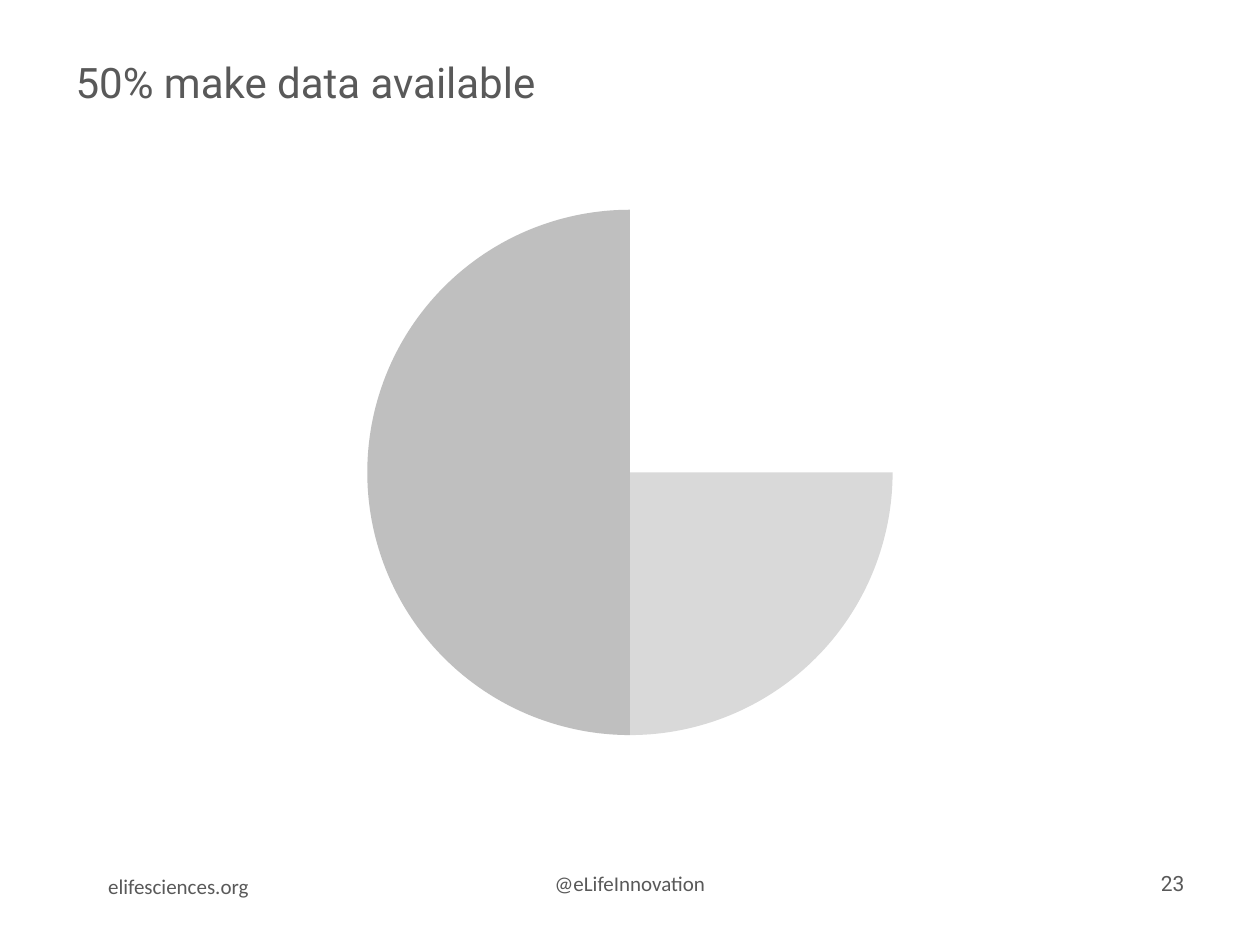
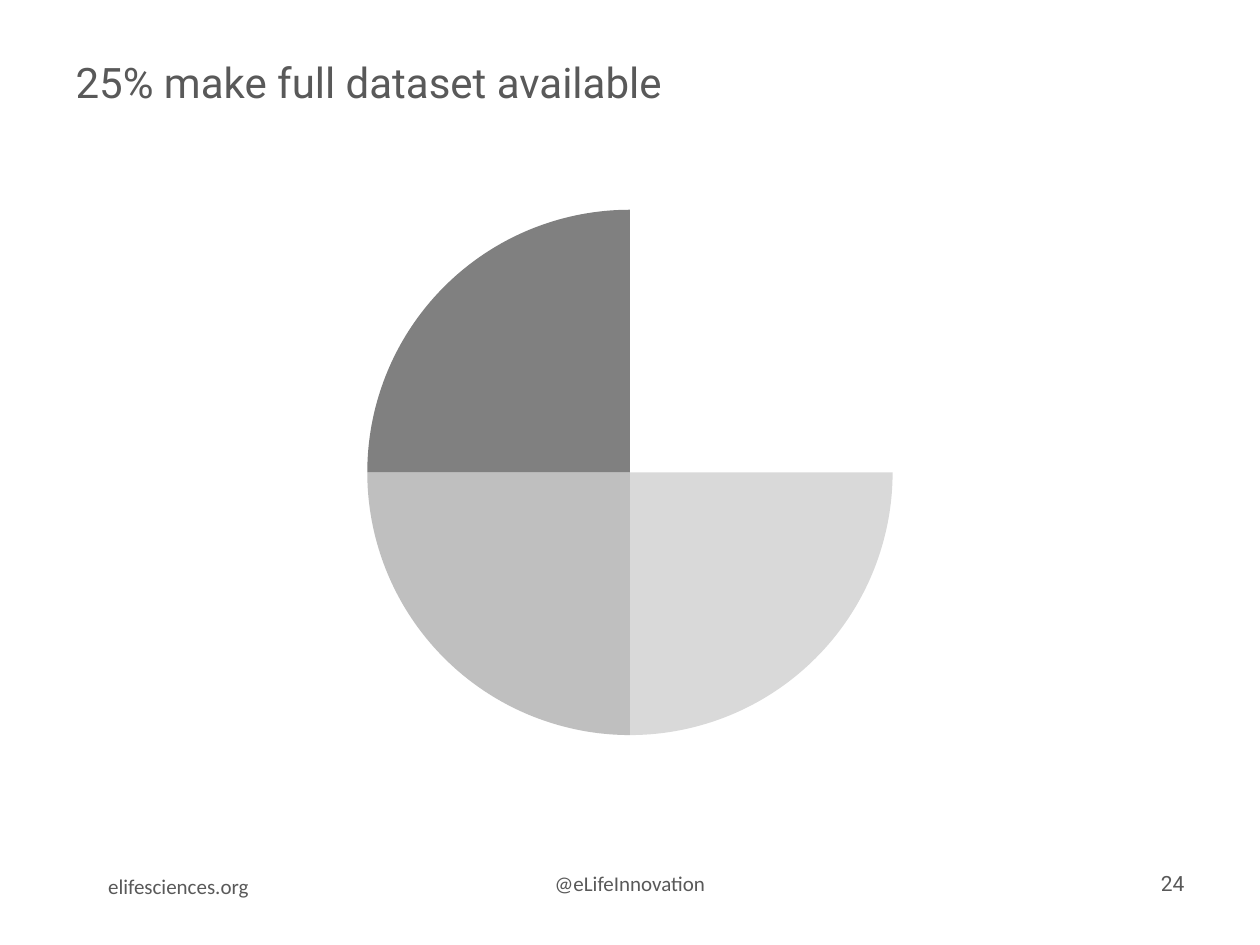
from lxml.etree import SubElement
from pptx import Presentation
from pptx.chart.data import CategoryChartData
from pptx.dml.color import RGBColor
from pptx.enum.chart import XL_CHART_TYPE
from pptx.enum.text import MSO_ANCHOR, PP_ALIGN
from pptx.oxml.ns import qn
from pptx.util import Inches, Pt

TEXT_GREY = RGBColor(0x59, 0x59, 0x59)
BLACK = RGBColor(0, 0, 0)
SLICE_FILLS = [
    None,
    RGBColor(0xD9, 0xD9, 0xD9),
    RGBColor(0xBF, 0xBF, 0xBF),
    RGBColor(0x80, 0x80, 0x80),
]

FIRST_NUMBER = 23
SLIDES = [
    ("50% make data available", [25, 25, 50, None]),
    ("25% make full dataset available", [25, 25, 25, 25]),
]
CATEGORIES = ["1", "2", "3", "4"]
HANDLE = "@eLifeInnovation"
SITE = "elifesciences.org"

WIDTH, HEIGHT = 10, 7.5
MARGIN = 0.5
CONTENT_WIDTH = WIDTH - 2 * MARGIN
TITLE_AREA = (MARGIN, 0.4, CONTENT_WIDTH, 0.61)
HANDLE_AREA = (MARGIN, 6.81, CONTENT_WIDTH, 0.4)
NUMBER_AREA = (WIDTH - MARGIN - 2.33, 6.81, 2.33, 0.4)
SITE_AREA = (0.76, 6.83, 4.16, 0.4)
PIE_WIDTH, PIE_HEIGHT = WIDTH * 2 / 3, 4.44
PIE_AREA = ((WIDTH - PIE_WIDTH) / 2, (HEIGHT - PIE_HEIGHT) / 2, PIE_WIDTH, PIE_HEIGHT)
PIE_DIAMETER = 4.17

TITLE_FONT = {"name": "Roboto", "size": Pt(24), "bold": False}
NUMBER_FONT = {"name": "Roboto", "size": Pt(12)}
FOOTER_FONT = {"name": "Calibri", "size": Pt(12)}
PIE_FONT = {"name": "Calibri", "size": Pt(18)}


def inches(area):
    return [Inches(length) for length in area]


def apply_font(font, values, color=TEXT_GREY):
    for attribute, value in values.items():
        setattr(font, attribute, value)
    font.color.rgb = color


def write(frame, words, font_values, align, anchor):
    frame.word_wrap = True
    frame.vertical_anchor = anchor
    paragraph = frame.paragraphs[0]
    paragraph.alignment = align
    run = paragraph.add_run()
    run.text = words
    apply_font(run.font, font_values)


def add_title(slide, words):
    title = slide.shapes.title
    title.left, title.top, title.width, title.height = inches(TITLE_AREA)
    write(title.text_frame, words, TITLE_FONT, PP_ALIGN.LEFT, MSO_ANCHOR.TOP)


def add_footers(slide, number):
    for words, area, font_values, align in [
        (HANDLE, HANDLE_AREA, FOOTER_FONT, PP_ALIGN.CENTER),
        (str(number), NUMBER_AREA, NUMBER_FONT, PP_ALIGN.RIGHT),
        (SITE, SITE_AREA, FOOTER_FONT, PP_ALIGN.LEFT),
    ]:
        footer = slide.shapes.add_textbox(*inches(area))
        write(footer.text_frame, words, font_values, align, MSO_ANCHOR.MIDDLE)


def center_plot(chart):
    plot_area = chart.plots[0]._element.getparent()
    layout = plot_area.find(qn("c:layout"))
    if layout is None:
        layout = SubElement(plot_area, qn("c:layout"))
        plot_area.insert(0, layout)
    manual = SubElement(layout, qn("c:manualLayout"))
    share_x, share_y = PIE_DIAMETER / PIE_WIDTH, PIE_DIAMETER / PIE_HEIGHT
    for tag, value in [
        ("layoutTarget", "inner"),
        ("xMode", "edge"),
        ("yMode", "edge"),
        ("x", (1 - share_x) / 2),
        ("y", (1 - share_y) / 2),
        ("w", share_x),
        ("h", share_y),
    ]:
        SubElement(manual, qn(f"c:{tag}")).set("val", str(value))


def add_pie(slide, shares):
    pie_data = CategoryChartData()
    pie_data.categories = CATEGORIES
    pie_data.add_series("Series 1", shares)
    chart = slide.shapes.add_chart(
        XL_CHART_TYPE.PIE, *inches(PIE_AREA), pie_data
    ).chart
    chart.has_title = False
    chart.has_legend = False
    apply_font(chart.font, PIE_FONT, BLACK)
    chart.plots[0].vary_by_categories = True
    for index, color in enumerate(SLICE_FILLS):
        slice_format = chart.plots[0].series[0].points[index].format
        slice_format.line.fill.background()
        if color is None:
            slice_format.fill.background()
        else:
            slice_format.fill.solid()
            slice_format.fill.fore_color.rgb = color
    center_plot(chart)


def main():
    deck = Presentation()
    deck.slide_width, deck.slide_height = Inches(WIDTH), Inches(HEIGHT)
    title_only = deck.slide_layouts.get_by_name("Title Only")
    for number, (title, shares) in enumerate(SLIDES, FIRST_NUMBER):
        slide = deck.slides.add_slide(title_only)
        add_footers(slide, number)
        add_pie(slide, shares)
        add_title(slide, title)
    deck.save("out.pptx")


if __name__ == "__main__":
    main()
